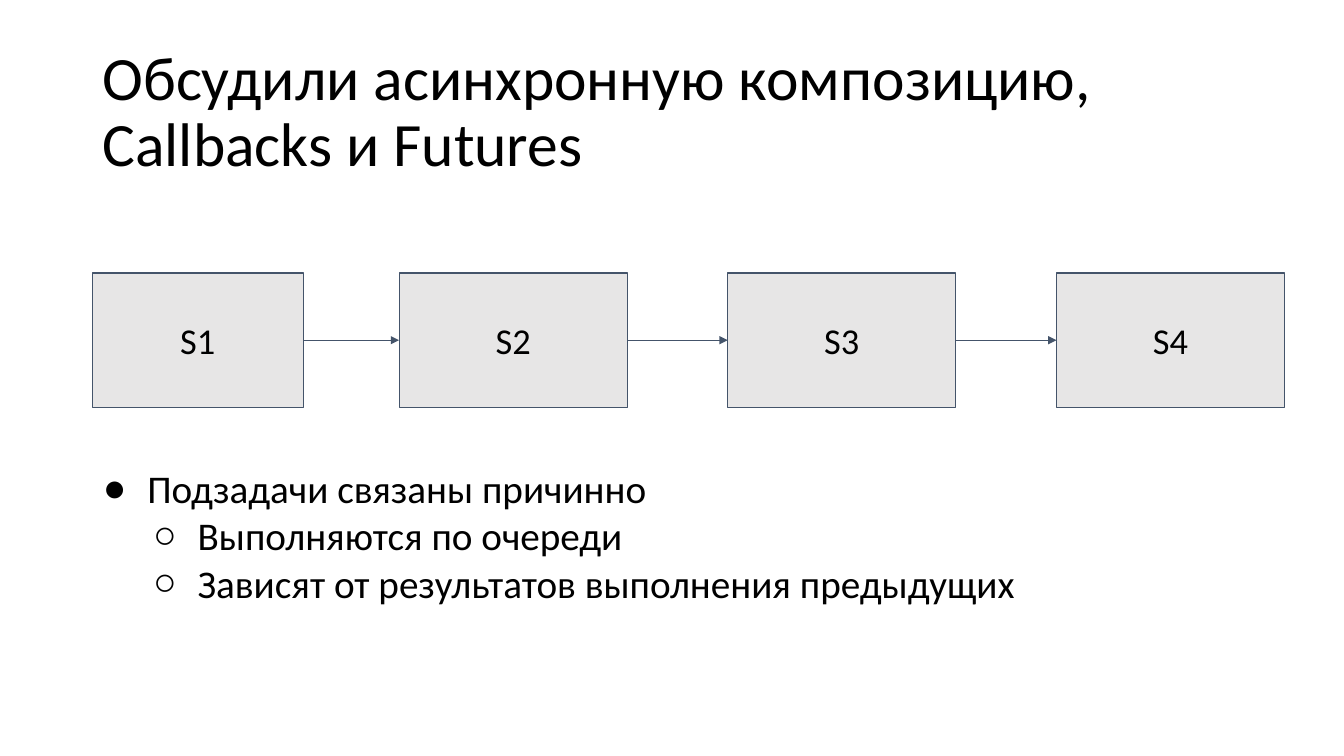
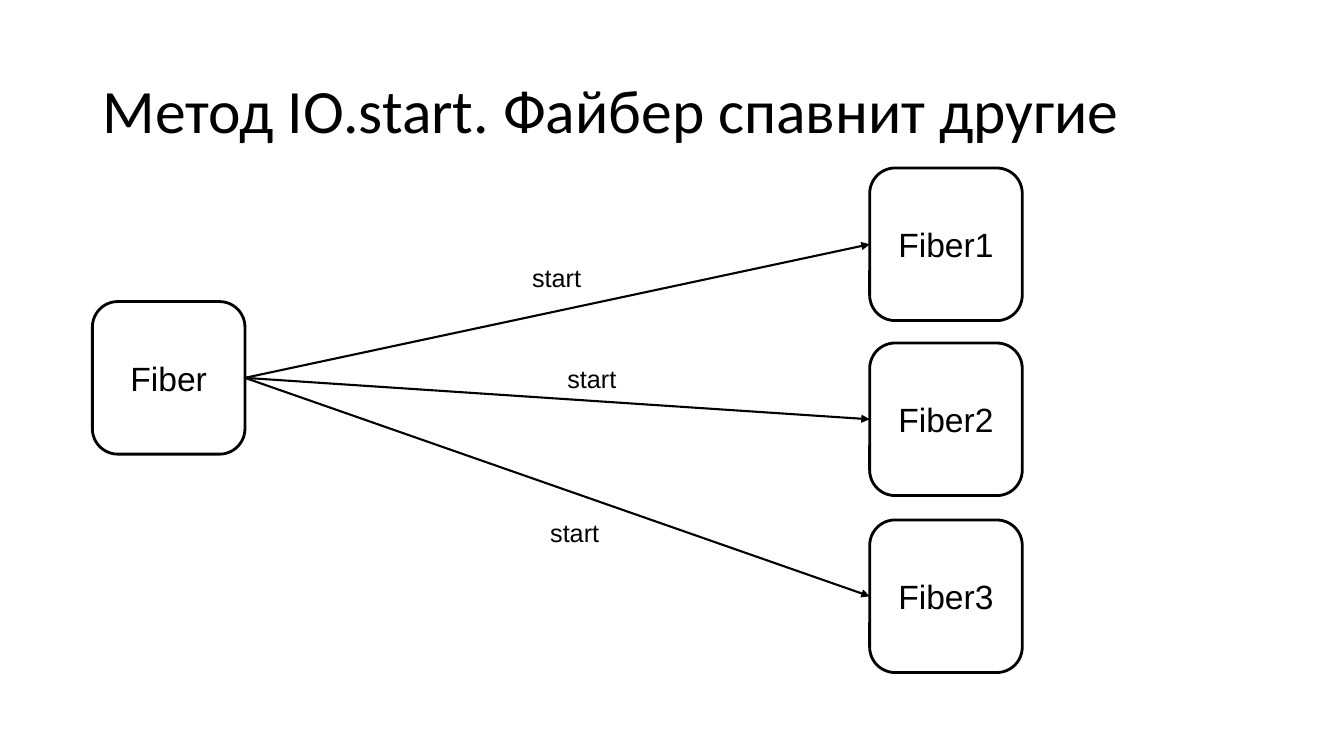
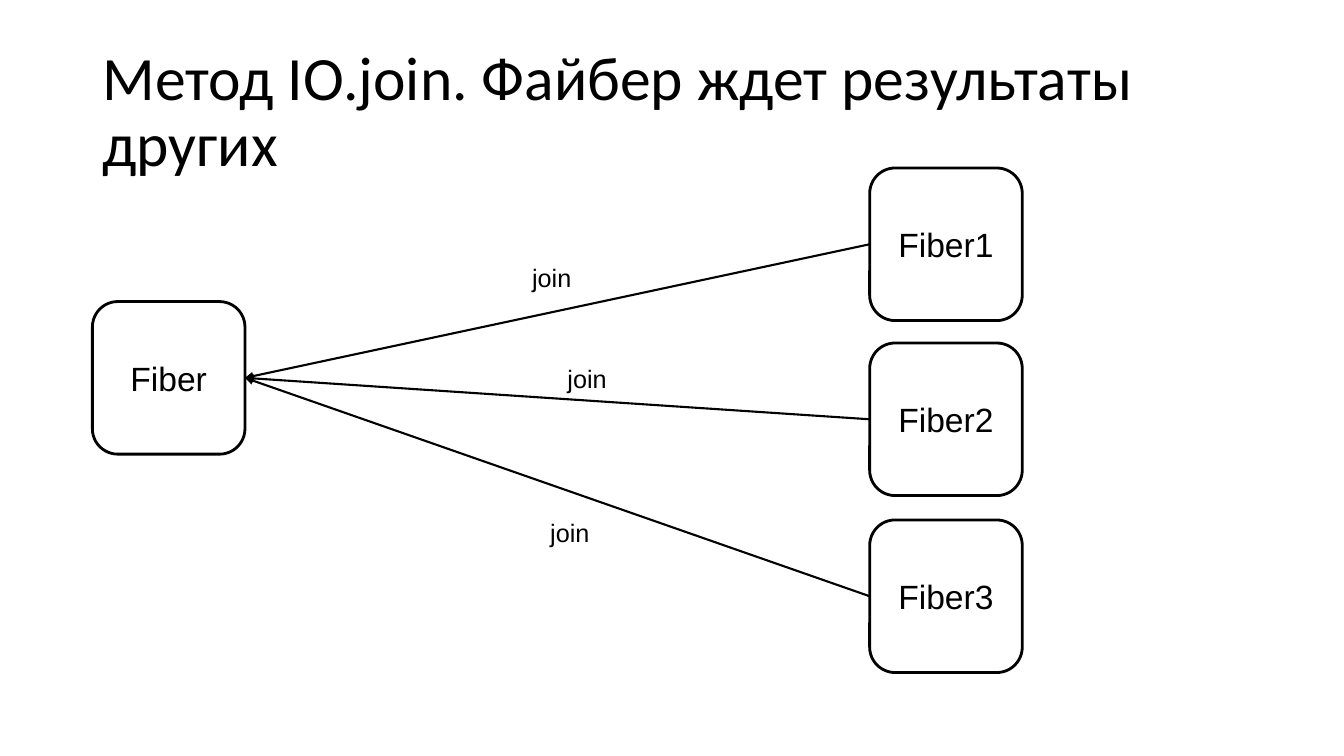
from dataclasses import dataclass

import lxml.etree
import pptx
import pptx.dml.color
import pptx.enum.shapes
import pptx.enum.text
import pptx.oxml.ns
import pptx.util
from pptx.enum.shapes import MSO_CONNECTOR, MSO_SHAPE
from pptx.enum.text import MSO_ANCHOR, MSO_AUTO_SIZE, PP_ALIGN

Pt = pptx.util.Pt

BLACK, WHITE, GRAY, SLATE = "000000", "FFFFFF", "E7E6E6", "44546A"
TITLE_AND_CONTENT, TITLE_ONLY = 1, 5
LEFT_SIDE, RIGHT_SIDE = 1, 3
MARGIN = 66


@dataclass(frozen=True)
class Box:
    left: float
    top: float
    width: float
    height: float


@dataclass(frozen=True)
class TextStyle:
    font: str
    size: float


@dataclass(frozen=True)
class NodeStyle:
    preset: MSO_SHAPE
    fill: str
    line: str
    line_width: float
    text: TextStyle


@dataclass(frozen=True)
class Bullet:
    text: str
    level: int = 0


@dataclass(frozen=True)
class FiberSlide:
    title: str
    label: str
    label_width: float
    returns: bool


TITLE_TEXT = TextStyle("Calibri", 44)
LIST_TEXT = TextStyle("Calibri", 28)
LABEL_TEXT = TextStyle("Arial", 18)
STAGE = NodeStyle(MSO_SHAPE.RECTANGLE, GRAY, SLATE, 0.75, TextStyle("Calibri", 26))
FIBER = NodeStyle(MSO_SHAPE.ROUNDED_RECTANGLE, WHITE, BLACK, 2, TextStyle("Arial", 24))

TITLE_BOX = Box(MARGIN, 28.8, 828, 104.4)
LIST_BOX = Box(62, 324.7, 787.7, 150.5)
BULLET_MARKS = "●○"
BULLETS = [
    Bullet("Подзадачи связаны причинно"),
    Bullet("Выполняются по очереди", 1),
    Bullet("Зависят от результатов выполнения предыдущих", 1),
]

STAGE_TOP, STAGE_HEIGHT = 195, 96
FIRST_STAGE_WIDTH, STAGE_WIDTH = 150.5, 162.9
SECOND_STAGE_LEFT, STAGE_PITCH = 285.1, 234.75

FIBER_SIZE = 109
PARENT_TOP, CHILD_LEFT = 215.4, 621.2
CHILD_TOPS = (120, 245, 371.4)
LABEL_POSITIONS = ((373, 183.6), (398.2, 255.6), (385.9, 365.8))
LABEL_HEIGHT = 29

FIBER_SLIDES = [
    FiberSlide("Метод IO.start. Файбер спавнит другие", "start", 49.7, False),
    FiberSlide("Метод IO.join. Файбер ждет результаты других", "join", 42.5, True),
]


def color(hex_value: str) -> pptx.dml.color.RGBColor:
    return pptx.dml.color.RGBColor.from_string(hex_value)


def lengths(box: Box) -> tuple:
    return Pt(box.left), Pt(box.top), Pt(box.width), Pt(box.height)


def add_run(paragraph, text: str, style: TextStyle) -> None:
    run = paragraph.add_run()
    run.text = text
    run.font.name = style.font
    run.font.size = Pt(style.size)
    run.font.color.rgb = color(BLACK)


def place(shape, box: Box) -> None:
    shape.left, shape.top, shape.width, shape.height = lengths(box)


def add_titled_slide(presentation, layout: int, title: str):
    slide = presentation.slides.add_slide(presentation.slide_layouts[layout])
    shape = slide.shapes.title
    place(shape, TITLE_BOX)
    frame = shape.text_frame
    frame.auto_size = MSO_AUTO_SIZE.NONE
    frame.vertical_anchor = MSO_ANCHOR.MIDDLE
    paragraph = frame.paragraphs[0]
    paragraph.alignment = PP_ALIGN.LEFT
    paragraph.line_spacing = 0.9
    add_run(paragraph, title, TITLE_TEXT)
    return slide


def add_node(slide, text: str, box: Box, style: NodeStyle):
    shape = slide.shapes.add_shape(style.preset, *lengths(box))
    shape.shadow.inherit = False
    shape.fill.solid()
    shape.fill.fore_color.rgb = color(style.fill)
    shape.line.color.rgb = color(style.line)
    shape.line.width = Pt(style.line_width)
    shape.text_frame.vertical_anchor = MSO_ANCHOR.MIDDLE
    paragraph = shape.text_frame.paragraphs[0]
    paragraph.alignment = PP_ALIGN.CENTER
    add_run(paragraph, text, style.text)
    return shape


def add_arrow(slide, start, start_side: int, end, end_side: int,
              line_color: str, width: float) -> None:
    connector = slide.shapes.add_connector(MSO_CONNECTOR.STRAIGHT, 0, 0, 0, 0)
    connector.begin_connect(start, start_side)
    connector.end_connect(end, end_side)
    connector.line.color.rgb = color(line_color)
    connector.line.width = Pt(width)
    qn = pptx.oxml.ns.qn
    line = connector.line._get_or_add_ln()
    lxml.etree.SubElement(line, qn("a:tailEnd"), type="triangle")
    lxml.etree.SubElement(connector._element.spPr, qn("a:effectLst"))


def set_bullet(paragraph, level: int) -> None:
    qn = pptx.oxml.ns.qn
    properties = paragraph._p.get_or_add_pPr()
    properties.set("marL", str(Pt(36 * (level + 1))))
    properties.set("indent", str(Pt(-31.75)))
    bullet_color = lxml.etree.SubElement(properties, qn("a:buClr"))
    lxml.etree.SubElement(bullet_color, qn("a:srgbClr"), val=BLACK)
    lxml.etree.SubElement(properties, qn("a:buChar"), char=BULLET_MARKS[level])


def fill_list(shape, bullets: list[Bullet]) -> None:
    place(shape, LIST_BOX)
    frame = shape.text_frame
    frame.auto_size = MSO_AUTO_SIZE.NONE
    frame.margin_top = frame.margin_bottom = Pt(7.2)
    for index, bullet in enumerate(bullets):
        paragraph = frame.add_paragraph() if index else frame.paragraphs[0]
        set_bullet(paragraph, bullet.level)
        paragraph.level = bullet.level
        paragraph.space_before = Pt(0)
        add_run(paragraph, bullet.text, LIST_TEXT)


def add_label(slide, text: str, box: Box) -> None:
    frame = slide.shapes.add_textbox(*lengths(box)).text_frame
    frame.word_wrap = False
    frame.auto_size = MSO_AUTO_SIZE.SHAPE_TO_FIT_TEXT
    add_run(frame.paragraphs[0], text, LABEL_TEXT)


def build_composition_slide(presentation) -> None:
    slide = add_titled_slide(presentation, TITLE_AND_CONTENT,
                             "Обсудили асинхронную композицию, Callbacks и Futures")
    boxes = [Box(MARGIN, STAGE_TOP, FIRST_STAGE_WIDTH, STAGE_HEIGHT)]
    boxes += [Box(SECOND_STAGE_LEFT + STAGE_PITCH * index, STAGE_TOP, STAGE_WIDTH, STAGE_HEIGHT)
              for index in range(3)]
    stages = [add_node(slide, f"S{number}", box, STAGE)
              for number, box in enumerate(boxes, start=1)]
    for current, following in zip(stages, stages[1:]):
        add_arrow(slide, current, RIGHT_SIDE, following, LEFT_SIDE, SLATE, 0.75)
    fill_list(slide.placeholders[1], BULLETS)


def build_fiber_slide(presentation, content: FiberSlide) -> None:
    """Draw a parent fiber joined to three children; returns points the arrows at the parent."""
    slide = add_titled_slide(presentation, TITLE_ONLY, content.title)
    parent = add_node(slide, "Fiber", Box(MARGIN, PARENT_TOP, FIBER_SIZE, FIBER_SIZE), FIBER)
    for number, top in enumerate(CHILD_TOPS, start=1):
        child = add_node(slide, f"Fiber{number}",
                         Box(CHILD_LEFT, top, FIBER_SIZE, FIBER_SIZE), FIBER)
        ends = [(parent, RIGHT_SIDE), (child, LEFT_SIDE)]
        if content.returns:
            ends.reverse()
        add_arrow(slide, *ends[0], *ends[1], BLACK, 1.5)
    for left, top in LABEL_POSITIONS:
        add_label(slide, content.label, Box(left, top, content.label_width, LABEL_HEIGHT))


def main() -> None:
    presentation = pptx.Presentation()
    presentation.slide_width, presentation.slide_height = Pt(960), Pt(540)
    build_composition_slide(presentation)
    for content in FIBER_SLIDES:
        build_fiber_slide(presentation, content)
    presentation.save("out.pptx")


if __name__ == "__main__":
    main()
